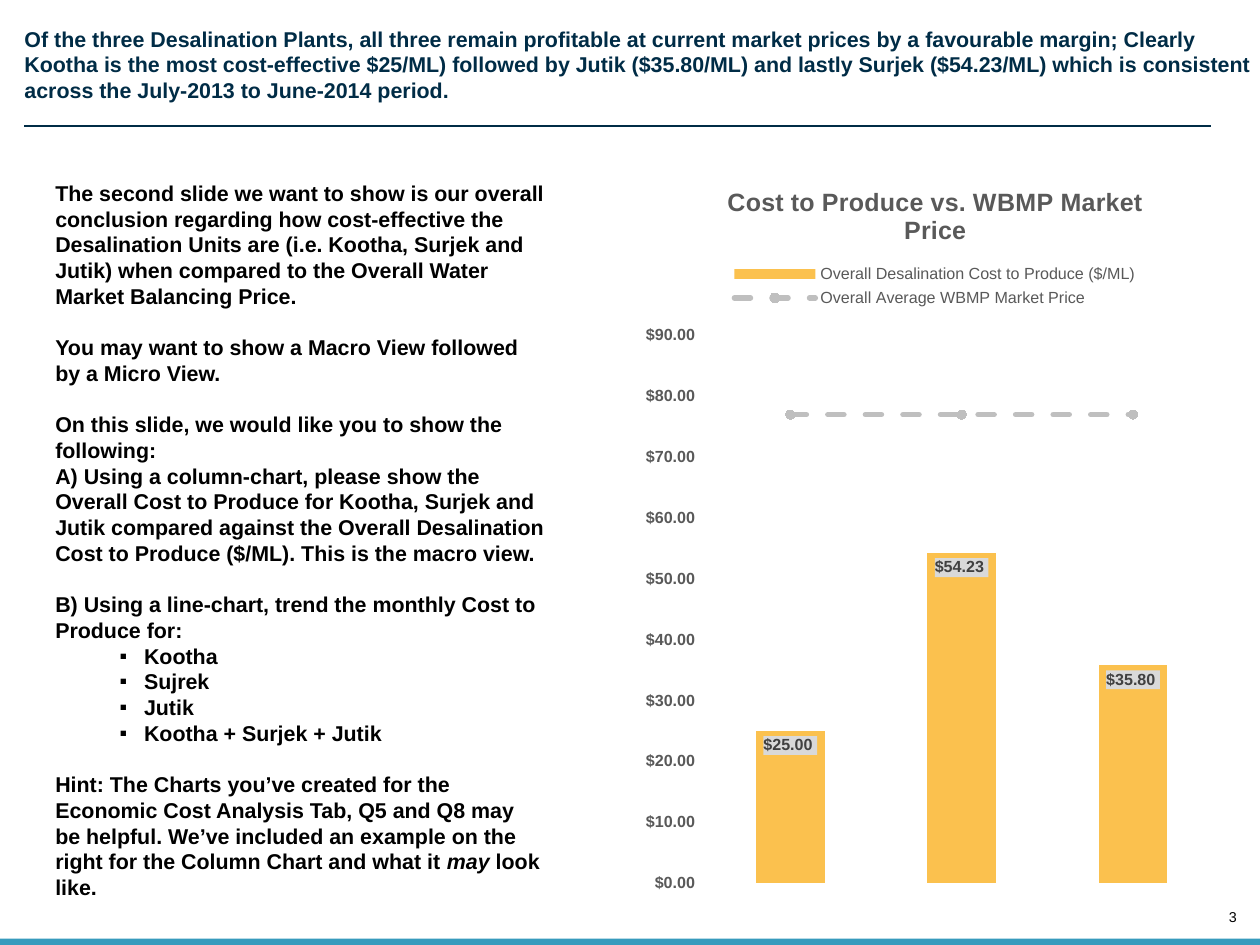
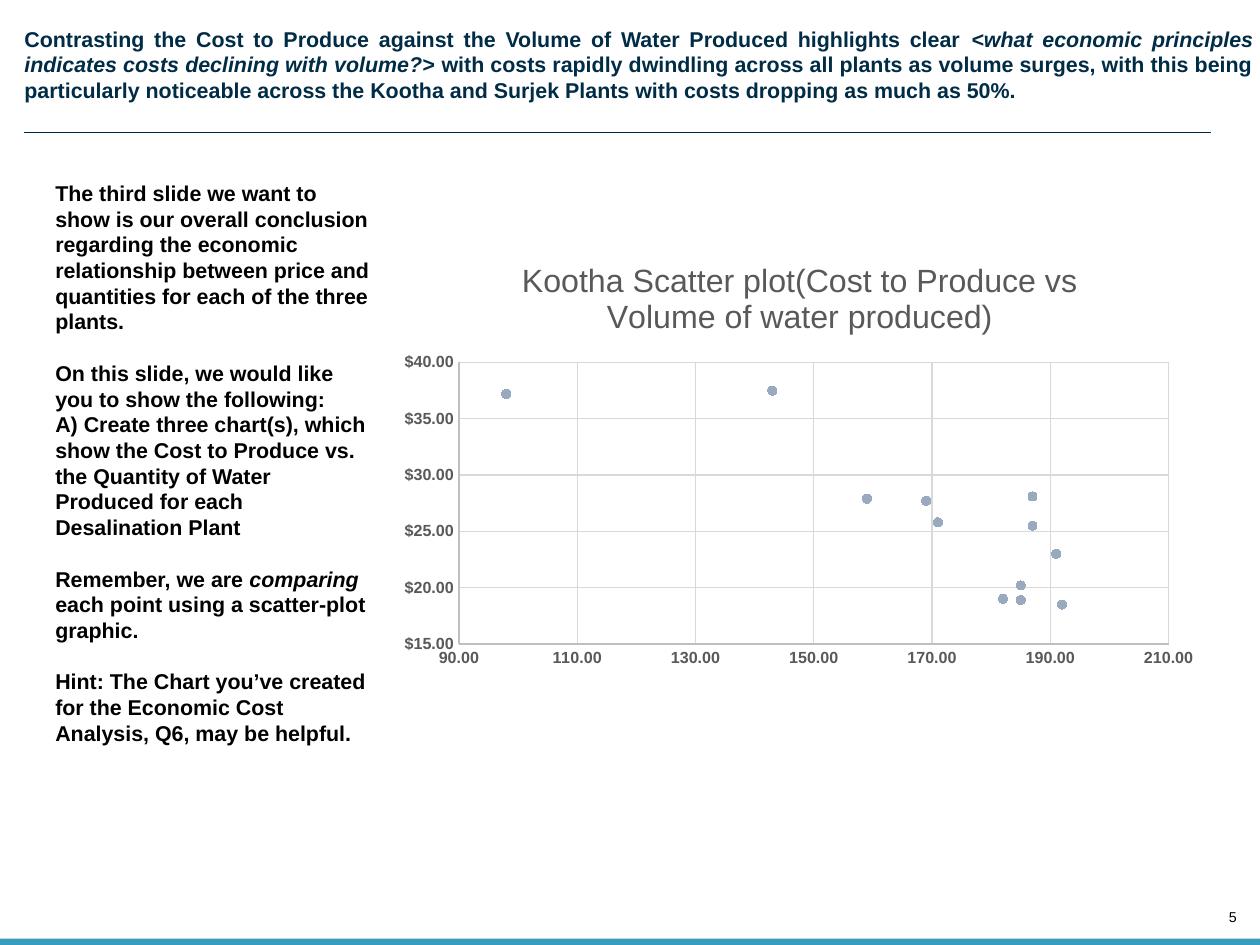
from lxml.etree import SubElement
from pptx import Presentation
from pptx.chart.data import CategoryChartData, XyChartData
from pptx.dml.color import RGBColor
from pptx.enum.chart import (XL_CHART_TYPE, XL_LABEL_POSITION, XL_LEGEND_POSITION,
                             XL_MARKER_STYLE, XL_TICK_LABEL_POSITION, XL_TICK_MARK)
from pptx.enum.dml import MSO_LINE
from pptx.enum.shapes import MSO_CONNECTOR, MSO_SHAPE
from pptx.enum.text import MSO_ANCHOR, MSO_AUTO_SIZE, PP_ALIGN
from pptx.oxml import parse_xml
from pptx.oxml.ns import nsdecls, qn
from pptx.util import Inches, Pt

THEME = {
    "font": "Arial", "text_size": 12, "axis_size": 9, "number_size": 8,
    "title": "002C46", "text": "000000", "band": "379BBD", "chart_text": "595959",
    "column": "FBC14E", "market": "BFBFBF", "label": "404040", "label_back": "D9D9D9",
    "grid": "D9D9D9", "axis": "BFBFBF", "dot": "99AABE",
}
WIDTH, HEIGHT = 9.8, 7.35
GAP = 14.4
DOLLARS = '"$"#,##0.00_);[Red]\\("$"#,##0.00\\)'

COST_PRICE = {
    "at": (4.97, 1.24, 4.61, 5.82),
    "title": "Cost to Produce vs. WBMP Market Price", "title_size": 14, "title_bold": True,
    "plot": (0.51, 1.37, 4, 4.26), "legend": (0.64, 0.78, 3.32, 0.41),
    "categories": ("1", "2", "3"),
    "series": (("Overall Desalination Cost to Produce ($/ML)", (25, 54.23, 35.8)),
               ("Overall Average WBMP Market Price", (77, 77, 77))),
    "value_scale": (0, 90, 10),
}
KOOTHA_SCATTER = {
    "at": (3.02, 1.85, 6.4, 3.42),
    "title": "Kootha Scatter plot(Cost to Produce vs Volume of water produced)",
    "title_size": 18, "title_bold": False,
    "plot": (0.55, 0.97, 5.52, 2.19),
    "points": ((182, 19), (187, 25.5), (185, 20.2), (192, 18.5), (98, 37.2), (185, 18.9),
               (187, 28.1), (159, 27.9), (191, 23), (171, 25.8), (169, 27.7), (143, 37.5)),
    "volume_scale": (90, 210, 20), "value_scale": (15, 40, 5),
}

SLIDES = (
    {
        "number": "3", "rule": 0.98, "align": PP_ALIGN.LEFT,
        "title": ("Of the three Desalination Plants, all three remain profitable at current market prices by a favourable margin; Clearly Kootha is the most cost-effective $25/ML) followed by Jutik ($35.80/ML) and lastly Surjek ($54.23/ML) which is consistent across the July-2013 to June-2014 period.",),
        "body_at": (0.33, 1.35, 4.01, 5.86),
        "body": (
            ("plain", ("The second slide we want to show is our overall conclusion regarding how cost-effective the Desalination Units are (i.e. Kootha, Surjek and Jutik) when compared to the Overall Water Market Balancing Price.",)),
            ("gap", ("You may want to show a Macro View followed by a Micro View.",)),
            ("gap", ("On this slide, we would like you to show the following:",)),
            ("plain", ("A) Using a column-chart, please show the Overall Cost to Produce for Kootha, Surjek and Jutik compared against the Overall Desalination Cost to Produce ($/ML). This is the macro view.",)),
            ("gap", ("B) Using a line-chart, trend the monthly Cost to Produce for:",)),
            ("bullet", ("Kootha",)),
            ("bullet", ("Sujrek",)),
            ("bullet", ("Jutik",)),
            ("bullet", ("Kootha + Surjek + Jutik",)),
            ("gap", ("Hint: The Charts you’ve created for the Economic Cost Analysis Tab, Q5 and Q8 may be helpful. We’ve included an example on the right for the Column Chart and what it ", "may", " look like.")),
        ),
        "columns": COST_PRICE,
    },
    {
        "number": "5", "rule": 1.03, "align": PP_ALIGN.JUSTIFY,
        "title": ("Contrasting the Cost to Produce against the Volume of Water Produced highlights clear ",
                  "<what economic principles indicates costs declining with volume?>",
                  " with costs rapidly dwindling across all plants as volume surges, with this being particularly noticeable across the Kootha and Surjek Plants with costs dropping as much as 50%."),
        "body_at": (0.33, 1.35, 2.69, 4.54),
        "body": (
            ("plain", ("The third slide we want to show is our overall conclusion regarding the economic relationship between price and quantities for each of the three plants.",)),
            ("gap", ("On this slide, we would like you to show the following:",)),
            ("plain", ("A) Create three chart(s), which show the Cost to Produce vs. the Quantity of Water Produced for each Desalination Plant",)),
            ("gap", ("Remember, we are ", "comparing ", "each point using a scatter-plot graphic.")),
            ("gap", ("Hint: The Chart you’ve created for the Economic Cost Analysis, Q6, may be helpful.",)),
        ),
        "scatter": KOOTHA_SCATTER,
    },
)


def inches(box):
    return [Inches(length) for length in box]


def apply(target, **values):
    for name, value in values.items():
        setattr(target, name, value)


def color(name):
    return RGBColor.from_string(THEME[name])


def paint(fill, name):
    fill.solid()
    fill.fore_color.rgb = color(name)


def style_font(font, size, name, bold=False, italic=False):
    apply(font, name=THEME["font"], size=Pt(size), bold=bold, italic=italic)
    font.color.rgb = color(name)


def write_runs(paragraph, runs, name):
    apply(paragraph, line_spacing=1.0, space_before=Pt(0), space_after=Pt(0))
    for position, words in enumerate(runs):
        run = paragraph.add_run()
        run.text = words
        style_font(run.font, THEME["text_size"], name, bold=True, italic=position % 2 == 1)


def place(shape, box):
    for name, length in zip(("left", "top", "width", "height"), inches(box)):
        setattr(shape, name, length)


def set_bullet(paragraph, bulleted):
    properties = paragraph._p.get_or_add_pPr()
    margin, indent = (0.69, -0.19) if bulleted else (0, 0)
    properties.set("marL", str(Inches(margin)))
    properties.set("indent", str(Inches(indent)))
    if bulleted:
        SubElement(properties, qn("a:buFont"), typeface=THEME["font"])
        SubElement(properties, qn("a:buChar"), char="▪")
    else:
        SubElement(properties, qn("a:buNone"))


def write_title(slide, content):
    title = slide.shapes.title
    place(title, (0.19, 0.2, 9.56, 0.61))
    apply(title.text_frame, margin_left=0, margin_top=0, margin_right=0, margin_bottom=0,
          word_wrap=True, auto_size=MSO_AUTO_SIZE.NONE, vertical_anchor=MSO_ANCHOR.TOP)
    heading = title.text_frame.paragraphs[0]
    heading.alignment = content["align"]
    write_runs(heading, content["title"], "title")


def write_body(slide, content):
    body = slide.placeholders[1]
    place(body, content["body_at"])
    frame = body.text_frame
    apply(frame, word_wrap=True, auto_size=MSO_AUTO_SIZE.NONE, vertical_anchor=MSO_ANCHOR.TOP)
    for position, (style, runs) in enumerate(content["body"]):
        paragraph = frame.add_paragraph() if position else frame.paragraphs[0]
        paragraph.level = int(style == "bullet")
        write_runs(paragraph, runs, "text")
        if style == "gap":
            paragraph.space_before = Pt(GAP)
        set_bullet(paragraph, style == "bullet")


def add_rule(slide, top):
    rule = slide.shapes.add_connector(MSO_CONNECTOR.STRAIGHT, *inches((0.19, top, 9.42, top)))
    rule.line.width = Pt(0.75)
    rule.line.color.rgb = color("title")
    SubElement(rule._element.spPr, qn("a:effectLst"))


def add_number(slide, number):
    frame = slide.shapes.add_textbox(*inches((9.48, 7.07, 0.14, 0.13))).text_frame
    apply(frame, margin_left=0, margin_top=0, margin_right=0, margin_bottom=0,
          word_wrap=False, vertical_anchor=MSO_ANCHOR.BOTTOM)
    paragraph = frame.paragraphs[0]
    paragraph.alignment = PP_ALIGN.RIGHT
    run = paragraph.add_run()
    run.text = number
    style_font(run.font, THEME["number_size"], "text")


def add_band(slide, layout):
    band = slide.shapes.add_shape(MSO_SHAPE.RECTANGLE, *inches((0, HEIGHT - 0.05, WIDTH, 0.05)))
    band.shadow.inherit = False
    paint(band.fill, "band")
    band.line.fill.background()
    layout.shapes.element.append(band.element)


def manual_layout(content, part):
    width, height = content["at"][2:]
    shares = [length / full for length, full in zip(content[part], (width, height) * 2)]
    target = '<c:layoutTarget val="inner"/>' if part == "plot" else ""
    modes = "".join(f'<c:{axis}Mode val="edge"/>' for axis in "xy")
    sizes = "".join(f'<c:{side} val="{share:.4f}"/>' for side, share in zip("xywh", shares))
    return parse_xml(f'<c:layout {nsdecls("c")}><c:manualLayout>{target}{modes}{sizes}'
                     '</c:manualLayout></c:layout>')


def add_chart(slide, kind, content, data):
    chart = slide.shapes.add_chart(kind, *inches(content["at"]), data).chart
    style_font(chart.font, 10, "text")
    chart.has_legend = False
    chart.has_title = True
    heading = chart.chart_title.text_frame
    heading.text = content["title"]
    style_font(heading.paragraphs[0].runs[0].font, content["title_size"], "chart_text",
               bold=content["title_bold"])
    area = chart._chartSpace.chart.plotArea
    for layout in area.findall(qn("c:layout")):
        area.remove(layout)
    area.insert(0, manual_layout(content, "plot"))
    chart.plots[0].vary_by_categories = False
    return chart


def style_axis(axis, scale, number_format, lined):
    low, high, step = scale
    apply(axis, minimum_scale=low, maximum_scale=high, major_unit=step,
          major_tick_mark=XL_TICK_MARK.NONE, minor_tick_mark=XL_TICK_MARK.NONE,
          tick_label_position=XL_TICK_LABEL_POSITION.NEXT_TO_AXIS, has_major_gridlines=lined)
    apply(axis.tick_labels, number_format=number_format, number_format_is_linked=False)
    style_font(axis.tick_labels.font, THEME["axis_size"], "chart_text", bold=True)
    if not lined:
        axis.format.line.fill.background()
        return
    for line, name in ((axis.format.line, "axis"), (axis.major_gridlines.format.line, "grid")):
        line.width = Pt(0.75)
        line.color.rgb = color(name)


def style_marker(marker, name):
    apply(marker, style=XL_MARKER_STYLE.CIRCLE, size=5)
    paint(marker.format.fill, name)
    marker.format.line.color.rgb = color(name)


def move_to_line_plot(chart):
    columns = chart._chartSpace.chart.plotArea.find(qn("c:barChart"))
    market = columns.findall(qn("c:ser"))[1]
    for inverted in market.findall(qn("c:invertIfNegative")):
        market.remove(inverted)
    lines = parse_xml(f'<c:lineChart {nsdecls("c")}><c:grouping val="standard"/>'
                      '<c:varyColors val="0"/><c:marker val="1"/></c:lineChart>')
    lines.insert(2, market)
    for axis in columns.findall(qn("c:axId")):
        SubElement(lines, qn("c:axId"), val=axis.get("val"))
    columns.addnext(lines)


def add_cost_columns(slide, content):
    data = CategoryChartData()
    data.categories = content["categories"]
    for name, values in content["series"]:
        data.add_series(name, values)
    chart = add_chart(slide, XL_CHART_TYPE.COLUMN_STACKED, content, data)
    move_to_line_plot(chart)
    columns, lines = chart.plots
    apply(columns, gap_width=150, overlap=100)
    cost, market = columns.series[0], lines.series[0]
    paint(cost.format.fill, "column")
    labels = cost.data_labels
    apply(labels, show_value=True, position=XL_LABEL_POSITION.INSIDE_END,
          number_format=DOLLARS, number_format_is_linked=False)
    style_font(labels.font, THEME["axis_size"], "label", bold=True)
    labels._element.find(qn("c:numFmt")).addnext(parse_xml(
        f'<c:spPr {nsdecls("c", "a")}><a:solidFill><a:srgbClr val="{THEME["label_back"]}"/>'
        '</a:solidFill></c:spPr>'))
    market.smooth = False
    apply(market.format.line, width=Pt(3), dash_style=MSO_LINE.DASH)
    market.format.line.color.rgb = color("market")
    market._element.find(qn("c:spPr")).find(qn("a:ln")).set("cap", "rnd")
    style_marker(market.marker, "market")
    chart.category_axis.visible = False
    style_axis(chart.value_axis, content["value_scale"], DOLLARS, lined=False)
    chart.has_legend = True
    legend = chart.legend
    apply(legend, position=XL_LEGEND_POSITION.TOP, include_in_layout=False)
    style_font(legend.font, THEME["axis_size"], "chart_text")
    for layout in legend._element.findall(qn("c:layout")):
        legend._element.remove(layout)
    legend._element.find(qn("c:legendPos")).addnext(manual_layout(content, "legend"))


def add_scatter(slide, content):
    data = XyChartData()
    plant = data.add_series("Series 1")
    for volume, cost in content["points"]:
        plant.add_data_point(volume, cost)
    chart = add_chart(slide, XL_CHART_TYPE.XY_SCATTER, content, data)
    dots = chart.plots[0].series[0]
    dots.format.line.fill.background()
    style_marker(dots.marker, "dot")
    style_axis(chart.category_axis, content["volume_scale"], "0.00", lined=True)
    style_axis(chart.value_axis, content["value_scale"], DOLLARS.replace("_)", ""), lined=True)


def main():
    deck = Presentation()
    deck.slide_width, deck.slide_height = inches((WIDTH, HEIGHT))
    layout = deck.slide_layouts[1]
    for position, content in enumerate(SLIDES):
        slide = deck.slides.add_slide(layout)
        if position == 0:
            add_band(slide, layout)
        write_title(slide, content)
        write_body(slide, content)
        add_rule(slide, content["rule"])
        add_number(slide, content["number"])
        for part, draw in (("columns", add_cost_columns), ("scatter", add_scatter)):
            if part in content:
                draw(slide, content[part])
    deck.save("out.pptx")


if __name__ == "__main__":
    main()
